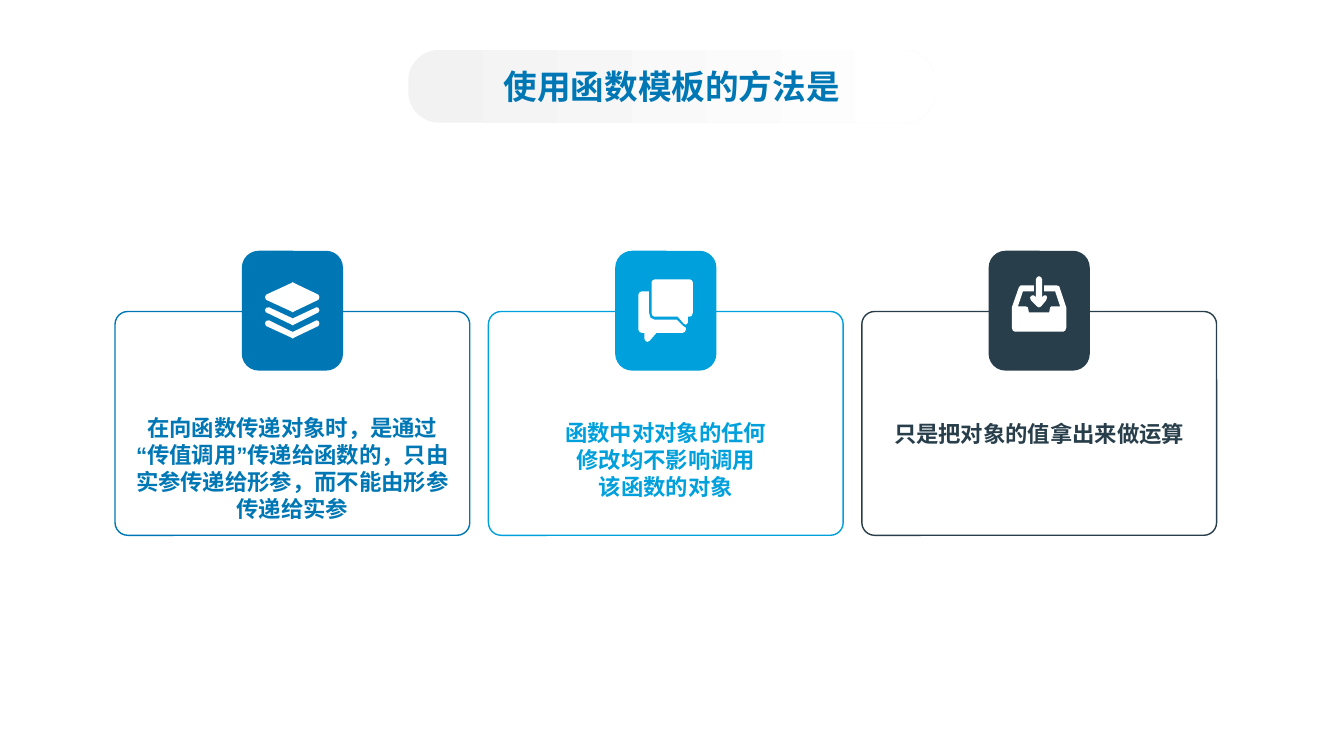
"""Build a slide with a title pill and three icon cards on function templates."""
import pptx
import pptx.dml.color
import pptx.enum.shapes
import pptx.enum.text
import pptx.oxml.ns
import pptx.util
from lxml import etree

Cm = pptx.util.Cm
SHAPES = pptx.enum.shapes.MSO_SHAPE

TITLE = "使用函数模板的方法是"
LAYERS = [
    [(0, 15), (1, 12.5), (26, 1), (27.5, 0), (29, 1), (53, 12.5), (54, 15),
     (53, 17.5), (29, 29), (27.5, 30), (26, 29), (1, 17.5)],
    [(0, 28), (1, 25.5), (4, 25), (27.5, 36), (51, 25), (53, 25.5), (54, 28),
     (53, 30), (29, 42), (27.5, 43), (26, 42), (1, 30)],
    [(0, 41), (1, 38.5), (4, 38), (27.5, 49.5), (51, 38), (53, 38.5), (54, 41),
     (53, 43.5), (29, 55), (27.5, 56), (26, 55), (1, 43.5)],
]
CHAT = [
    [(13, 3), (14, 1), (16, 0), (51, 0), (53, 1), (54, 3), (54, 33), (53, 36),
     (51, 37), (49, 37), (49, 43), (47, 45), (45, 44), (39, 37), (16, 37),
     (14, 36), (13, 33)],
    [(0, 15), (1, 13), (3, 12), (10.5, 12), (10.5, 33), (12, 38), (16, 40),
     (38, 40), (44, 46), (47, 48), (47, 50), (46, 52), (44, 53), (18, 53),
     (11, 61), (9, 62), (7, 61), (6, 59), (6, 53), (3, 53), (1, 52), (0, 50)],
]
TRAY = [
    [(0, 31), (7, 11), (9, 9), (22, 9), (22, 15), (11, 15), (6, 30), (14, 30),
     (16, 31), (17, 36), (37, 36), (38, 31), (39, 30), (48, 30), (43, 15),
     (32, 15), (32, 9), (44, 9), (47, 10), (54, 31), (54, 51), (53, 54),
     (51, 55), (3, 55), (1, 54), (0, 51)],
    [(24, 3), (25, 1), (27, 0), (29, 1), (30, 3), (30, 21), (32, 19), (34, 19),
     (35, 21), (34, 24), (29, 30), (27, 31), (25, 30), (19, 24), (18, 21),
     (20, 19), (22, 19), (24, 21)],
]
CARDS = [
    {"color": "0077B5", "icon": LAYERS, "icon_y": 7.11, "text_y": 10.44,
     "lines": ["在向函数传递对象时，是通过", "“传值调用”传递给函数的，只由",
               "实参传递给形参，而不能由形参", "传递给实参"]},
    {"color": "00A0DC", "icon": CHAT, "icon_y": 7.04, "text_y": 10.57,
     "lines": ["函数中对对象的任何", "修改均不影响调用", "该函数的对象"]},
    {"color": "283E4A", "icon": TRAY, "icon_y": 6.96, "text_y": 10.59,
     "lines": ["只是把对象的值拿出来做运算"]},
]
THEME = {
    "white": "FFFFFF", "pill": "F2F2F2", "title": "0077B5",
    "title_size": 24, "body_size": 16,
    "title_font": "Noto Sans CJK SC", "body_font": "Arial",
}
CARD_X, CARD_Y, CARD_W, CARD_H, PITCH = 2.9, 7.85, 8.94, 5.64, 9.41
BADGE_W, BADGE_H, BADGE_Y = 2.55, 3.02, 6.32
ICON_DX, TEXT_W, LINE_H = 3.78, 8.13, 0.7


def rgb(value):
    """Return a colour from its hex value."""
    return pptx.dml.color.RGBColor.from_string(value)


def paint(sp, fill=None, line=None):
    """Set a solid fill and outline, or none."""
    sp.shadow.inherit = False
    if fill:
        sp.fill.solid()
        sp.fill.fore_color.rgb = rgb(fill)
    else:
        sp.fill.background()
    if line:
        sp.line.color.rgb = rgb(line)
        sp.line.width = pptx.util.Pt(1)
    else:
        sp.line.fill.background()


def add_round(s, x, y, w, h, adj, fill=None, line=None):
    """Add a rounded rectangle measured in centimetres."""
    sp = s.shapes.add_shape(SHAPES.ROUNDED_RECTANGLE, Cm(x), Cm(y), Cm(w), Cm(h))
    sp.adjustments[0] = adj
    paint(sp, fill, line)
    return sp


def add_icon(s, contours, x, y):
    """Draw contours given in hundredths of an inch from a corner."""
    points = [[(Cm(x + px * 0.0254), Cm(y + py * 0.0254)) for px, py in c]
              for c in contours]
    fb = s.shapes.build_freeform(*points[0][0])
    for i, contour in enumerate(points):
        if i:
            fb.move_to(*contour[0])
        fb.add_line_segments(contour[1:], close=True)
    paint(fb.convert_to_shape(), fill=THEME["white"])


def write(tf, lines, *, size, color, font):
    """Write centred bold lines, one paragraph each."""
    for i, line in enumerate(lines):
        p = tf.add_paragraph() if i else tf.paragraphs[0]
        p.alignment = pptx.enum.text.PP_ALIGN.CENTER
        r = p.add_run()
        r.text = line
        r.font.size = pptx.util.Pt(size)
        r.font.bold = True
        r.font.name = font
        r.font.color.rgb = rgb(color)
        ea = etree.SubElement(r.font._element, pptx.oxml.ns.qn("a:ea"))
        ea.set("typeface", font)


def add_card(s, x, card):
    """Add a framed card with its badge, icon and text."""
    color = card["color"]
    add_round(s, x, CARD_Y, CARD_W, CARD_H, 0.057, line=color)
    add_round(s, x + (CARD_W - BADGE_W) / 2, BADGE_Y, BADGE_W, BADGE_H, 0.167, fill=color)
    add_icon(s, card["icon"], x + ICON_DX, card["icon_y"])
    box = s.shapes.add_textbox(Cm(x + (CARD_W - TEXT_W) / 2), Cm(card["text_y"]),
                               Cm(TEXT_W), Cm(LINE_H * len(card["lines"])))
    tf = box.text_frame
    tf.word_wrap = False
    tf.margin_left = tf.margin_right = tf.margin_top = tf.margin_bottom = 0
    write(tf, card["lines"], size=THEME["body_size"], color=color, font=THEME["body_font"])


def add_title(s):
    """Add the title on a pill that fades to white."""
    sp = add_round(s, 10.29, 1.26, 13.28, 1.83, 0.423)
    sp.fill.gradient()
    sp.fill.gradient_angle = 0
    colors = (THEME["pill"], THEME["white"])
    for stop, position, color in zip(sp.fill.gradient_stops, (0, 0.99), colors):
        stop.position = position
        stop.color.rgb = rgb(color)
    tf = sp.text_frame
    tf.word_wrap = True
    tf.vertical_anchor = pptx.enum.text.MSO_ANCHOR.MIDDLE
    write(tf, [TITLE], size=THEME["title_size"], color=THEME["title"],
          font=THEME["title_font"])


def main():
    """Create the slide and save it."""
    prs = pptx.Presentation()
    prs.slide_width, prs.slide_height = Cm(33.87), Cm(19.05)
    s = prs.slides.add_slide(prs.slide_layouts[6])
    for i, card in enumerate(CARDS):
        add_card(s, CARD_X + i * PITCH, card)
    add_title(s)
    prs.save("out.pptx")


if __name__ == "__main__":
    main()
